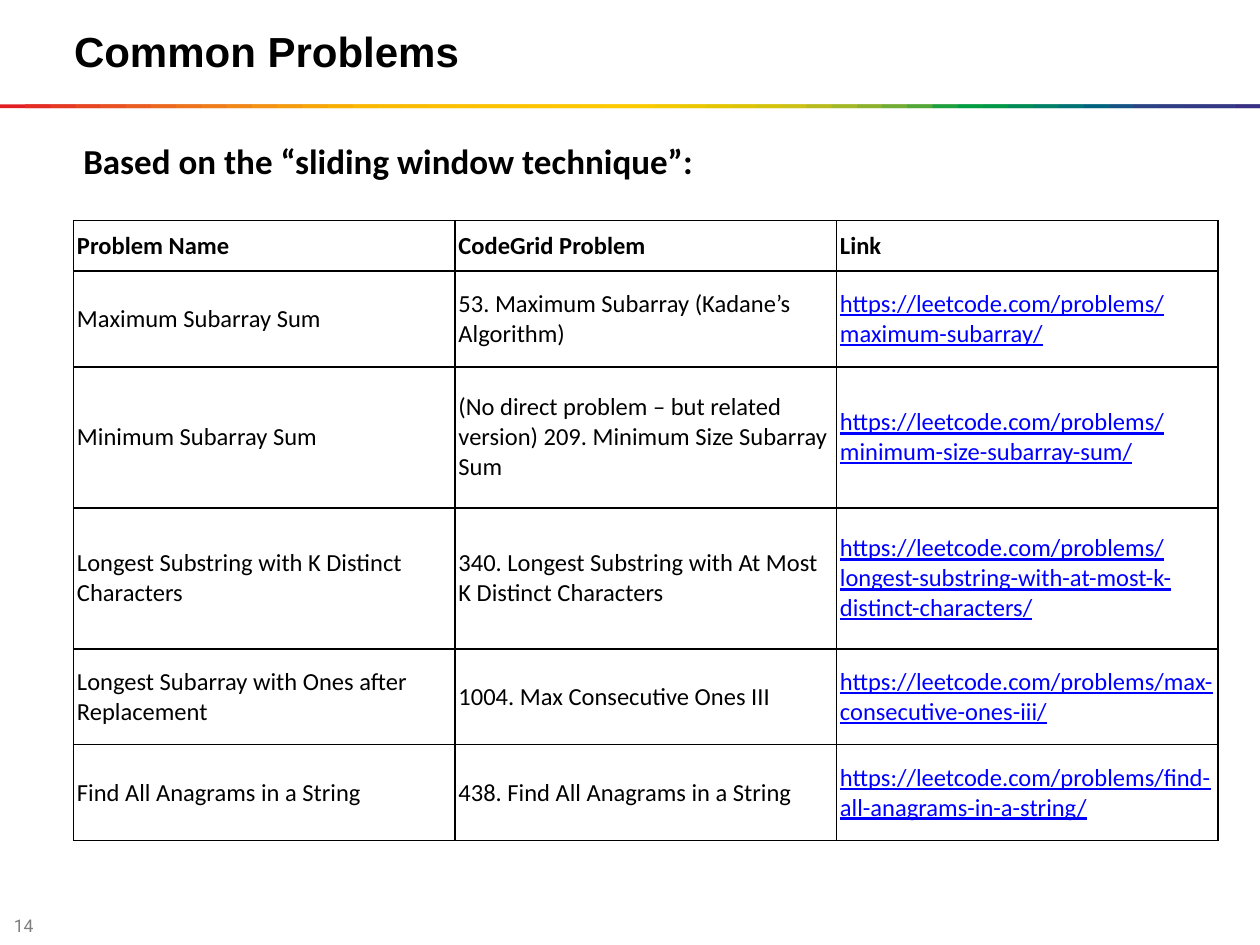
"""Build the slide listing common sliding window problems."""
from lxml import etree
from pptx import Presentation
from pptx.dml.color import RGBColor
from pptx.enum.shapes import MSO_SHAPE
from pptx.enum.text import MSO_ANCHOR, MSO_AUTO_SIZE, PP_ALIGN
from pptx.oxml.ns import qn
from pptx.util import Pt

RECT = MSO_SHAPE.RECTANGLE
TOP, MIDDLE = MSO_ANCHOR.TOP, MSO_ANCHOR.MIDDLE
FIXED = MSO_AUTO_SIZE.NONE
LEFT = PP_ALIGN.LEFT
BLACK = RGBColor(0, 0, 0)
BLUE = RGBColor(0, 0, 255)
GREY = RGBColor(0x7E, 0x7E, 0x7E)
RAINBOW = [RGBColor.from_string(code) for code in """
    E21E23 E32C23 E43923 E74622 E85121 EA5D20 EB691F ED741D EE7D1A F08717
    F39213 F49C0E F6A607 F8AF01 FAB900 FABA00 FABC00 FBBE00 FBC000 FBC200
    FCC400 FCC500 FCC600 FDC800 FDCA00 FACA00 F3C900 EBC700 E3C501 DCC509
    D4C30D CCC117 B8BB20 A2B829 8BB12F 70AC36 51A73A 1DA140 009D43 009746
    008B56 008068 007175 00627E 175284 2D4285 303D85 333A85 353885 393085
""".split()]
WIDE, HIGH = 720, 540
SITE = "https://leetcode.com/problems/"
HEADS = ["Problem Name", "CodeGrid Problem", "Link"]
TASKS = [
    ("Maximum Subarray Sum", "53. Maximum Subarray (Kadane’s Algorithm)",
     "maximum-subarray/"),
    ("Minimum Subarray Sum",
     "(No direct problem – but related version) 209. Minimum Size Subarray Sum",
     "minimum-size-subarray-sum/"),
    ("Longest Substring with K Distinct Characters",
     "340. Longest Substring with At Most K Distinct Characters",
     "longest-substring-with-at-most-k-distinct-characters/"),
    ("Longest Subarray with Ones after Replacement",
     "1004. Max Consecutive Ones III", "max-consecutive-ones-iii/"),
    ("Find All Anagrams in a String", "438. Find All Anagrams in a String",
     "find-all-anagrams-in-a-string/"),
]
HEIGHTS = [28.8, 54.8, 80.6, 80.6, 54.8, 54.8]


class Deck:
    """Hold the text style and the current slide."""

    def __init__(self, font):
        """Start a deck with one title-only slide."""
        self.font = font
        self.show = Presentation()
        self.show.slide_width, self.show.slide_height = Pt(WIDE), Pt(HIGH)
        self.slide = self.show.slides.add_slide(self.show.slide_layouts[5])

    def text(self, frame, words, size, color=BLACK, bold=False, font=None):
        """Add one styled run to the first paragraph."""
        para = frame.paragraphs[0]
        para.alignment = LEFT
        run = para.add_run()
        run.text = words
        face = run.font
        face.name, face.size, face.bold = font or self.font, Pt(size), bold
        face.color.rgb = color
        return run

    def frame(self, shape, inset=0, top=0):
        """Prepare the text frame of a shape."""
        frame = shape.text_frame
        frame.word_wrap, frame.auto_size = True, FIXED
        frame.vertical_anchor = TOP
        frame.margin_left, frame.margin_top = Pt(inset), Pt(top)
        frame.margin_right = frame.margin_bottom = 0
        return frame

    def title(self, words, left, top, width, height):
        """Place and fill the title placeholder."""
        shape = self.slide.shapes.title
        shape.left, shape.top = Pt(left), Pt(top)
        shape.width, shape.height = Pt(width), Pt(height)
        self.text(self.frame(shape, top=1), words, 24, bold=True, font="Arial")

    def label(self, words, left, top, width, height, size, inset=0, **style):
        """Add a text box."""
        box = self.slide.shapes.add_textbox(
            Pt(left), Pt(top), Pt(width), Pt(height))
        self.text(self.frame(box, inset, 1), words, size, **style)

    def band(self, top, height, colors):
        """Add a full-width band of equal overlapping colour steps."""
        step = WIDE / len(colors)
        for i, color in enumerate(colors):
            left = i * step
            width = min(2 * step, WIDE - left)
            bar = self.slide.shapes.add_shape(
                RECT, Pt(left), Pt(top), Pt(width), Pt(height))
            bar.shadow.inherit = False
            bar.fill.solid()
            bar.fill.fore_color.rgb = color
            bar.line.fill.background()

    def border(self, cell):
        """Draw a thin black line on every side of a cell."""
        props = cell._tc.get_or_add_tcPr()
        for i, side in enumerate(("a:lnL", "a:lnR", "a:lnT", "a:lnB")):
            line = etree.Element(qn(side), w=str(Pt(1)))
            fill = etree.SubElement(line, qn("a:solidFill"))
            etree.SubElement(fill, qn("a:srgbClr"), val=str(BLACK))
            props.insert(i, line)

    def cell(self, cell, words, head, link):
        """Fill and style one table cell."""
        cell.fill.background()
        cell.vertical_anchor = MIDDLE
        cell.margin_left = cell.margin_right = Pt(2)
        cell.margin_top = cell.margin_bottom = Pt(1)
        run = self.text(cell.text_frame, words, 14, BLUE if link else BLACK, head)
        run.font.underline = link
        self.border(cell)

    def table(self, rows, left, top, width, heights):
        """Add a bordered table with equal columns."""
        grid = self.slide.shapes.add_table(
            len(rows), len(rows[0]), Pt(left), Pt(top), Pt(width),
            Pt(sum(heights))).table
        grid.first_row = grid.horz_banding = False
        for col in grid.columns:
            col.width = Pt(width / len(rows[0]))
        for r, row in enumerate(rows):
            grid.rows[r].height = Pt(heights[r])
            for c, words in enumerate(row):
                self.cell(grid.cell(r, c), words, r == 0, words.startswith(SITE))


def main():
    """Compose and save the slide."""
    deck = Deck("Calibri")
    deck.band(59.6, 2.2, RAINBOW)
    deck.title("Common Problems", 42.3, 13.7, 581, 30)
    deck.label("Based on the “sliding window technique”:",
               42.3, 78.5, 602, 25, 20, inset=5.3, bold=True)
    deck.label("14", 5, 522, 17.3, 13, 10, inset=3, color=GREY, font="Roboto")
    rows = [HEADS] + [(name, task, SITE + page) for name, task, page in TASKS]
    deck.table(rows, 42, 126, 654, HEIGHTS)
    deck.show.save("out.pptx")


if __name__ == "__main__":
    main()
